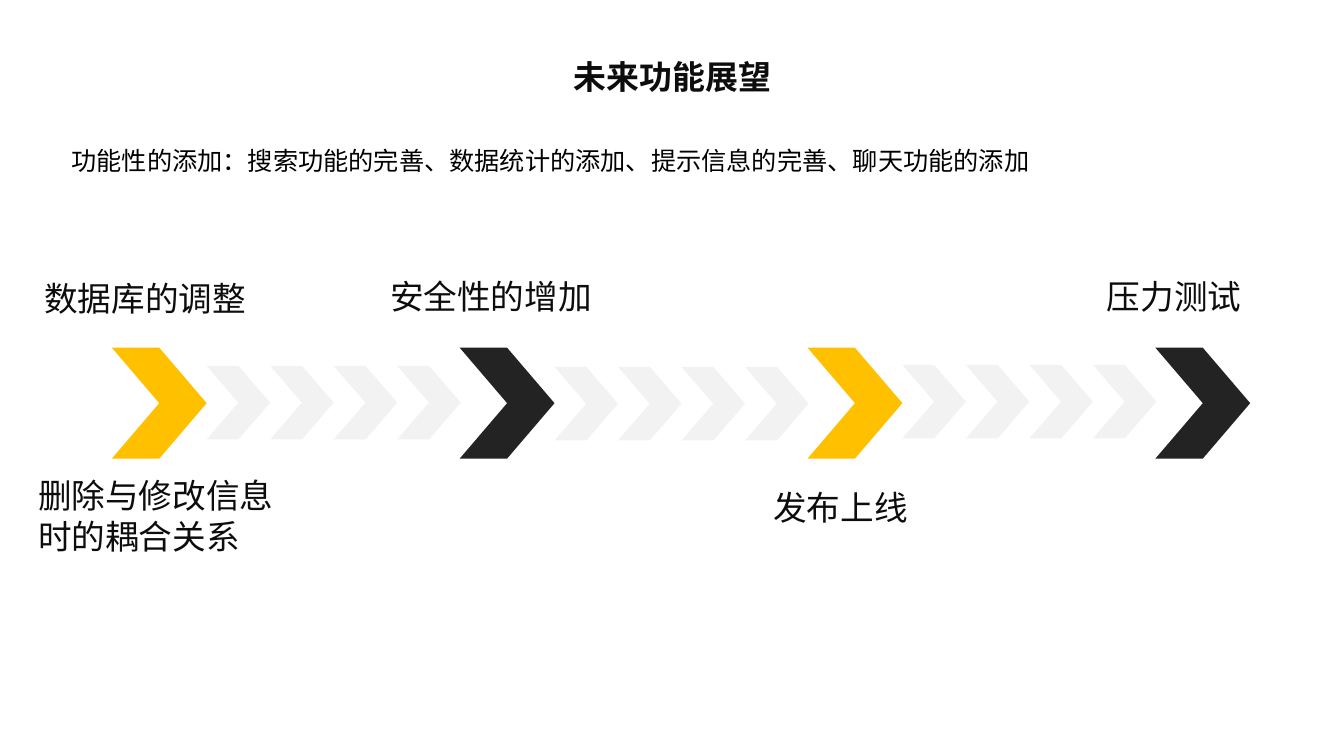
"""Builds a roadmap slide of planned features along a chevron track."""
from lxml.etree import SubElement
from pptx import Presentation
from pptx.dml.color import RGBColor
from pptx.enum.shapes import MSO_SHAPE
from pptx.enum.text import MSO_ANCHOR, MSO_AUTO_SIZE, PP_ALIGN
from pptx.oxml.ns import qn
from pptx.util import Inches, Pt

AMBER = RGBColor(0xFF, 0xC0, 0x00)
CHARCOAL = RGBColor(0x23, 0x23, 0x23)
PALE = RGBColor(0xF2, 0xF2, 0xF2)
INK = RGBColor(0x0D, 0x0D, 0x0D)
BLACK = RGBColor(0x00, 0x00, 0x00)
CJK_FONT = "Noto Sans CJK SC"

STAGE_LEFT, STAGE_TOP, STAGE_PITCH = 1.11, 3.45, 3.45
STAGE_W, STAGE_H = 0.94, 1.1
STEP_W, STEP_H = 0.63, 0.73
STEPS = 4
STAGE_COLORS = [AMBER, CHARCOAL, AMBER, CHARCOAL]
STEP_TOPS = [3.63, 3.64, 3.62]

LABELS = [
    ("数据库的调整", 0.34, 2.71, 3.45, 0.5),
    ("删除与修改信息\n时的耦合关系", 0.28, 4.66, 4.66, 0.91),
    ("发布上线", 7.57, 4.78, 2.11, 0.5),
    ("安全性的增加", 3.77, 2.69, 3.33, 0.5),
    ("压力测试", 10.88, 2.69, 2.11, 0.5),
]


class RoadmapSlide:
    def __init__(self, prs):
        self.s = prs.slides.add_slide(prs.slide_layouts[5])

    def set_text(self, sp, text, size, color=INK, font=CJK_FONT, bold=False,
                 anchor=MSO_ANCHOR.TOP, align=PP_ALIGN.LEFT, spacing=1.0):
        tf = sp.text_frame
        tf.text = text
        tf.word_wrap = True
        tf.auto_size = MSO_AUTO_SIZE.NONE
        tf.vertical_anchor = anchor
        for p in tf.paragraphs:
            p.alignment = align
            p.line_spacing = spacing
            for r in p.runs:
                r.font.name = font
                r.font.size = Pt(size)
                r.font.bold = bold
                r.font.color.rgb = color
                SubElement(r._r.get_or_add_rPr(), qn("a:ea"), typeface=CJK_FONT)

    def title(self, text, x, y, w, h):
        sp = self.s.shapes.title
        sp.left, sp.top, sp.width, sp.height = map(Inches, (x, y, w, h))
        self.set_text(sp, text, 23.5, bold=True, align=PP_ALIGN.CENTER, spacing=1.5)

    def label(self, text, x, y, w, h, size=24, **style):
        sp = self.s.shapes.add_textbox(*map(Inches, (x, y, w, h)))
        self.set_text(sp, text, size, **style)

    def chevron(self, x, y, w, h, color):
        sp = self.s.shapes.add_shape(MSO_SHAPE.CHEVRON, *map(Inches, (x, y, w, h)))
        sp.shadow.inherit = False
        sp.fill.solid()
        sp.fill.fore_color.rgb = color
        sp.line.fill.background()


def main():
    prs = Presentation()
    prs.slide_width, prs.slide_height = Inches(13.33), Inches(7.5)
    roadmap = RoadmapSlide(prs)
    roadmap.title("未来功能展望", 4.14, 0.32, 5.06, 0.63)
    roadmap.label("功能性的添加：搜索功能的完善、数据统计的添加、提示信息的完善、聊天功能的添加",
                  0.61, 1.39, 12.02, 0.4, size=18, color=BLACK, font="Calibri")
    for i, color in enumerate(STAGE_COLORS):
        roadmap.chevron(STAGE_LEFT + i * STAGE_PITCH, STAGE_TOP, STAGE_W, STAGE_H, color)
    for i, top in enumerate(STEP_TOPS):
        left = STAGE_LEFT + i * STAGE_PITCH + STAGE_W
        for j in range(STEPS):
            roadmap.chevron(left + j * STEP_W, top, STEP_W, STEP_H, PALE)
    for text, x, y, w, h in LABELS:
        roadmap.label(text, x, y, w, h, anchor=MSO_ANCHOR.MIDDLE)
    prs.save("out.pptx")


if __name__ == "__main__":
    main()
